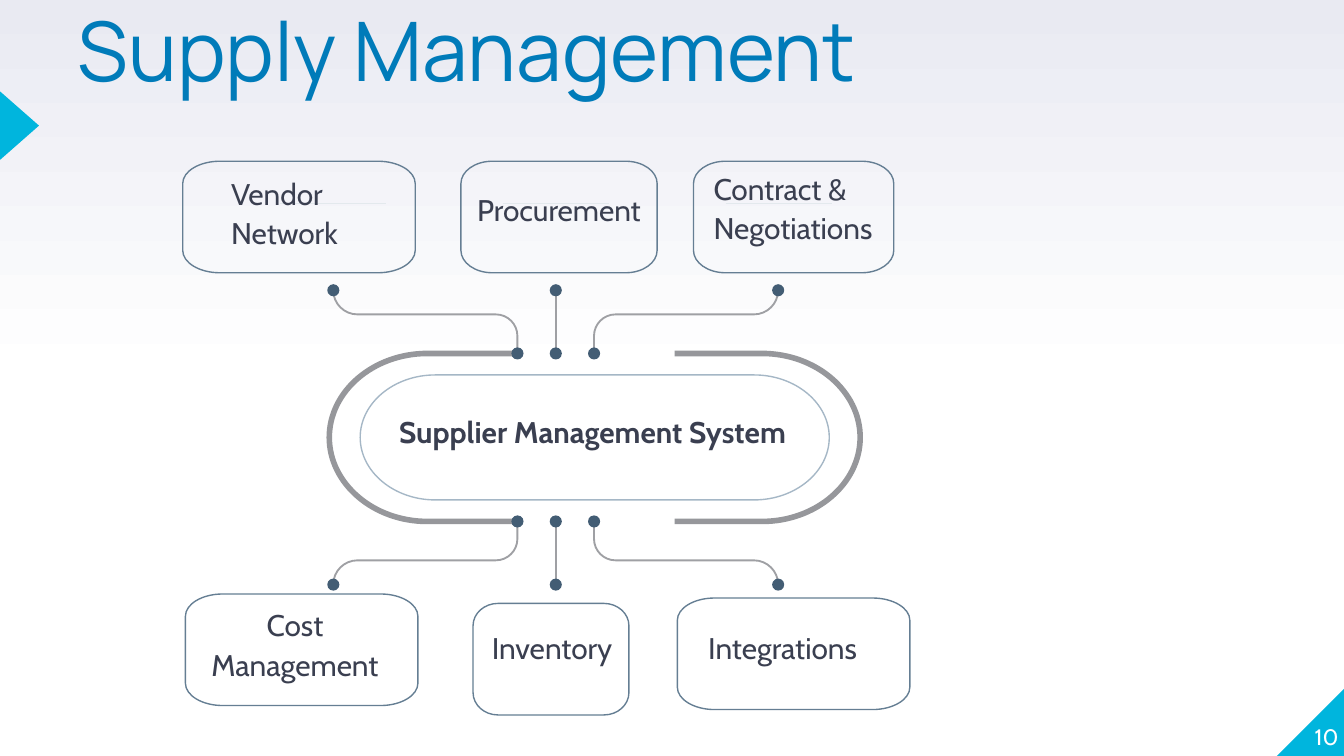
import copy

import pptx
import pptx.dml.color
import pptx.enum.shapes
import pptx.enum.text
import pptx.oxml
import pptx.oxml.ns
import pptx.util

RGB = pptx.dml.color.RGBColor.from_string
SHAPE = pptx.enum.shapes.MSO_SHAPE
ALIGN = pptx.enum.text.PP_ALIGN
ANCHOR = pptx.enum.text.MSO_ANCHOR

THEME = {
    "white": RGB("FFFFFF"), "mist": RGB("E9EAF2"), "cyan": RGB("00B5DD"),
    "title": RGB("007BB9"), "ink": RGB("3A3F50"), "dot": RGB("435D74"),
    "box": RGB("657E93"), "pill": RGB("A5B7C6"), "band": RGB("96979B"),
    "link": RGB("9FA0A4"), "rule": RGB("E3E9ED"),
    "heading_font": "Manrope", "body_font": "Cabin",
    "heading_size": pptx.util.Pt(44), "body_size": pptx.util.Pt(16),
    "number_size": pptx.util.Pt(12),
}

deck = pptx.Presentation()
deck.slide_width = pptx.util.Inches(10)
deck.slide_height = pptx.util.Inches(5.625)
page = deck.slides.add_slide(deck.slide_layouts[6])
# Square grid: 100 columns by 56.25 rows
CELL = deck.slide_width // 100
ROUNDNESS = 0.55  # Bezier handle length of a quarter ellipse


def draw_outline(steps, color, weight, close=False):
    """Draw (x, y, turn) steps in cells.

    A turn of "h" or "v" is a quarter ellipse that sets out horizontally or
    vertically; an empty turn is a straight line.
    """
    scaled = [(round(x * CELL), round(y * CELL)) for x, y, _ in steps]
    builder = page.shapes.build_freeform(*scaled[0])
    builder.add_line_segments(scaled[1:], close=close)
    outline = builder.convert_to_shape()
    outline.shadow.inherit = False
    outline.fill.background()
    outline.line.color.rgb = THEME[color]
    outline.line.width = pptx.util.Pt(weight)
    segments = list(outline.element.iter(pptx.oxml.ns.qn("a:lnTo")))
    for segment, before, after, step in zip(segments, scaled, scaled[1:], steps[1:]):
        if not step[2]:
            continue
        corner = (after[0], before[1]) if step[2] == "h" else (before[0], after[1])
        segment.tag = pptx.oxml.ns.qn("a:cubicBezTo")
        for index, end in enumerate((before, after)):
            handle = copy.deepcopy(segment[-1])
            for axis, origin in (("x", outline.left), ("y", outline.top)):
                i = "xy".index(axis)
                value = end[i] + ROUNDNESS * (corner[i] - end[i]) - origin
                handle.set(axis, str(round(value)))
            segment.insert(index, handle)


# Background: white to the middle, then misty towards the top
backdrop = page.background.fill
backdrop.gradient()
backdrop.gradient_angle = 90
stop_list = next(page.element.iter(pptx.oxml.ns.qn("a:gsLst")))
stop_list.insert(0, copy.deepcopy(stop_list[0]))
for stop, (position, color) in zip(
        backdrop.gradient_stops, [(0, "white"), (0.5, "white"), (1, "mist")]):
    stop.position = position
    stop.color.rgb = THEME[color]

# Corner and edge triangles
for kind, place, rotation in [
    (SHAPE.RIGHT_TRIANGLE, (95, 51.15, 5.1, 5.1), 270),
    (SHAPE.ISOSCELES_TRIANGLE, (-1.1, 7.9, 5.1, 2.9), 90),
]:
    triangle = page.shapes.add_shape(kind, *[round(v * CELL) for v in place])
    triangle.rotation = rotation
    triangle.shadow.inherit = False
    triangle.fill.solid()
    triangle.fill.fore_color.rgb = THEME["cyan"]
    triangle.line.fill.background()

# Rounded boxes: left, top, width, height, corner share of height, colour
for left, top, width, height, share, color in [
    (26.8, 27.9, 34.9, 9.3, 0.5, "pill"),
    (13.6, 12, 17.3, 8.3, 0.2, "box"),
    (34.3, 12, 14.6, 8.3, 0.2, "box"),
    (51.6, 12, 14.9, 8.3, 0.2, "box"),
    (13.8, 44.2, 17.3, 8.3, 0.2, "box"),
    (35.2, 44.9, 11.6, 8.3, 0.2, "box"),
    (50.4, 44.5, 17.3, 8.3, 0.2, "box"),
]:
    right, bottom = left + width, top + height
    near_x, far_x = left + width * 0.16, right - width * 0.16
    near_y, far_y = top + height * share, bottom - height * share
    draw_outline([
        (near_x, top, ""), (far_x, top, ""), (right, near_y, "h"),
        (right, far_y, ""), (far_x, bottom, "v"), (near_x, bottom, ""),
        (left, far_y, "h"), (left, near_y, ""), (near_x, top, "v"),
    ], color, 0.75, close=True)

# Bands, links and dots around the central system
MIDDLE = 41.35
OUTER_STEP, INNER_STEP = 16.55, 2.85
BAND_TOP, BAND_BOTTOM = 26.3, 38.8
TIERS = [(21.6, BAND_TOP, 1), (43.5, BAND_BOTTOM, -1)]  # outer row, inner row, direction

for end_x, turn_x, tip_x in [(38.3, 31.8, 24.5), (50.2, 56.7, 64)]:
    draw_outline([
        (end_x, BAND_TOP, ""), (turn_x, BAND_TOP, ""),
        (tip_x, (BAND_TOP + BAND_BOTTOM) / 2, "h"),
        (turn_x, BAND_BOTTOM, "v"), (end_x, BAND_BOTTOM, ""),
    ], "band", 3)

OUTER_BEND, INNER_BEND = 1.8, 1.6
for outer_y, inner_y, down in TIERS:
    bend_y = outer_y + down * OUTER_BEND
    for side in (1, -1):
        outer_x, inner_x = MIDDLE - side * OUTER_STEP, MIDDLE - side * INNER_STEP
        draw_outline([
            (outer_x, outer_y, ""), (outer_x + side * OUTER_BEND, bend_y, "v"),
            (inner_x - side * INNER_BEND, bend_y, ""),
            (inner_x, bend_y + down * INNER_BEND, "h"), (inner_x, inner_y, ""),
        ], "link", 1)

stems = [(MIDDLE, outer_y, MIDDLE, inner_y, "link", 1) for outer_y, inner_y, _ in TIERS]
rules = [(left, 15.15, left + 7.9, 15.15, "rule", 0.5) for left in (20.8, 37.4, 54)]
for *ends, color, weight in stems + rules:
    line = page.shapes.add_connector(
        pptx.enum.shapes.MSO_CONNECTOR.STRAIGHT, *[round(v * CELL) for v in ends])
    line.line.color.rgb = THEME[color]
    line.line.width = pptx.util.Pt(weight)
    line.element.spPr.append(pptx.oxml.parse_xml(
        f"<a:effectLst {pptx.oxml.ns.nsdecls('a')}/>"))

DOT = 0.9
for outer_y, inner_y, _ in TIERS:
    for y, step in [(outer_y, OUTER_STEP), (inner_y, INNER_STEP)]:
        for x in (MIDDLE - step, MIDDLE, MIDDLE + step):
            place = (x - DOT / 2, y - DOT / 2, DOT, DOT)
            dot = page.shapes.add_shape(SHAPE.OVAL, *[round(v * CELL) for v in place])
            dot.shadow.inherit = False
            dot.fill.solid()
            dot.fill.fore_color.rgb = THEME["dot"]
            dot.line.fill.background()

# Texts: wording, place, and what differs from the label format
FRAME = {"margin_left": 0, "margin_top": 0, "margin_right": 0, "margin_bottom": 0,
         "word_wrap": True, "vertical_anchor": ANCHOR.TOP}
PARA = {"alignment": ALIGN.LEFT, "line_spacing": 1.1, "space_before": pptx.util.Pt(6)}
FONT = {"name": THEME["body_font"], "size": THEME["body_size"], "bold": False}

for wording, place, frame_format, para_format, font_format, color in [
    ("10", (94.6, 50.7, 5, 5.1), {"vertical_anchor": ANCHOR.BOTTOM},
     {"alignment": ALIGN.RIGHT, "line_spacing": 1.0, "space_before": 0},
     {"size": THEME["number_size"]}, "white"),
    ("Supply Management", (5.8, 1.4, 85.2, 5.9), {},
     {"line_spacing": 0.8, "space_before": 0},
     {"name": THEME["heading_font"], "size": THEME["heading_size"]}, "title"),
    ("Supplier Management System", (29.7, 30.5, 29.9, 6.9), {}, {}, {"bold": True}, "ink"),
    ("Vendor Network", (17.2, 12.8, 9.6, 7.5), {}, {}, {}, "ink"),
    ("Procurement", (35.5, 14, 13.8, 3.5), {}, {}, {}, "ink"),
    ("Contract & Negotiations", (53.1, 12.4, 12.7, 7.5), {}, {}, {}, "ink"),
    ("Cost Management", (15.4, 44.9, 13.1, 6.9), {}, {"alignment": ALIGN.CENTER}, {}, "ink"),
    ("Inventory", (36.6, 46.6, 9.7, 3.5), {}, {}, {}, "ink"),
    ("Integrations", (52.7, 46.6, 13, 3.5), {}, {}, {}, "ink"),
]:
    frame = page.shapes.add_textbox(*[round(v * CELL) for v in place]).text_frame
    para = frame.paragraphs[0]
    span = para.add_run()
    span.text = wording
    for target, values in [(frame, FRAME | frame_format), (para, PARA | para_format),
                           (span.font, FONT | font_format)]:
        for name, value in values.items():
            setattr(target, name, value)
    span.font.color.rgb = THEME[color]

deck.save("out.pptx")
